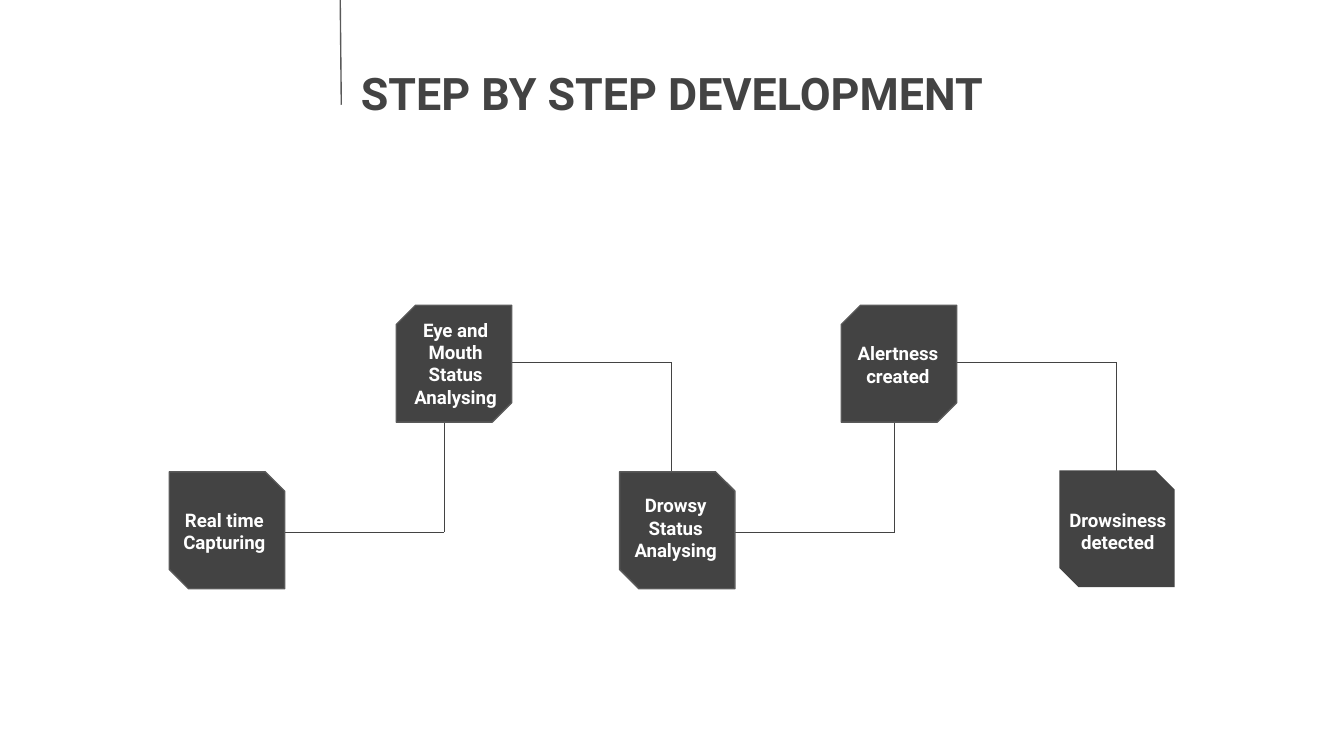
import dataclasses

import pptx
import pptx.dml.color
import pptx.enum.shapes
import pptx.enum.text
import pptx.oxml.xmlchemy
import pptx.util
from pptx.util import Cm

RGB = pptx.dml.color.RGBColor
ANCHOR = pptx.enum.text.MSO_ANCHOR


@dataclasses.dataclass(frozen=True)
class Theme:
    dark: RGB = RGB(0x43, 0x43, 0x43)
    edge: RGB = RGB(0x59, 0x59, 0x59)
    light: RGB = RGB(0xFF, 0xFF, 0xFF)
    font: str = "Roboto"
    head: int = 24
    body: int = 10
    rule: float = 0.75


@dataclasses.dataclass(frozen=True)
class Step:
    text: str
    left: float
    top: float
    area: tuple  # label left, top, width, height in cm
    high: bool = False
    last: bool = False
    anchor: ANCHOR = ANCHOR.TOP


THEME = Theme()
WIDE, TALL = 2.18, 2.21  # box size
INSET, RUN, DROP = 1.03, 4.17, 2.54  # elbow start, across, up or down
SNIP = 0.167

STEPS = [
    Step("Real time Capturing", 3.2, 8.92, (3.15, 9.37, 2.18, 1.09)),
    Step("Eye and Mouth Status Analysing", 7.49, 5.77,
         (7.52, 5.77, 2.18, 1.85), high=True),
    Step("Drowsy Status Analysing", 11.71, 8.92, (11.68, 9.09, 2.18, 1.27)),
    Step("Alertness created", 15.9, 5.77, (15.88, 6.35, 2.18, 1.09),
         high=True, anchor=ANCHOR.MIDDLE),
    Step("Drowsiness detected", 20.02, 8.89, (19.84, 9.37, 2.57, 1.09),
         last=True),
]


def style(frame, text: str, size: int, color: RGB, anchor: ANCHOR) -> None:
    frame.text = text
    frame.word_wrap = True
    frame.auto_size = pptx.enum.text.MSO_AUTO_SIZE.NONE
    frame.vertical_anchor = anchor
    frame.margin_left = frame.margin_right = Cm(0.25)
    frame.margin_top = frame.margin_bottom = Cm(0.25)
    line = frame.paragraphs[0]
    line.alignment = pptx.enum.text.PP_ALIGN.CENTER
    font = line.runs[0].font
    font.name, font.size, font.bold = THEME.font, pptx.util.Pt(size), True
    font.color.rgb = color


def add_line(slide, start: tuple, end: tuple, color: RGB) -> None:
    line = slide.shapes.add_connector(
        pptx.enum.shapes.MSO_CONNECTOR.STRAIGHT,
        *(Cm(value) for value in start + end))
    line.line.color.rgb = color
    line.line.width = pptx.util.Pt(THEME.rule)
    props = line._element.spPr
    props.append(pptx.oxml.xmlchemy.OxmlElement("a:effectLst"))


def add_elbow(slide, step: Step) -> None:
    x = step.left + INSET
    y = step.top + (1.08 if step.high else 1.14)
    turn = (x + RUN, y)
    add_line(slide, (x, y), turn, THEME.dark)
    end = (x + RUN, y + (DROP if step.high else -DROP))
    add_line(slide, turn, end, THEME.dark)


def add_box(slide, step: Step) -> None:
    box = slide.shapes.add_shape(
        pptx.enum.shapes.MSO_SHAPE.SNIP_2_DIAG_RECTANGLE,
        Cm(step.left), Cm(step.top), Cm(WIDE), Cm(TALL))
    box.shadow.inherit = False
    # High boxes lose the opposite pair of corners
    box.adjustments[0] = SNIP if step.high else 0
    box.adjustments[1] = 0 if step.high else SNIP
    box.fill.solid()
    box.fill.fore_color.rgb = THEME.dark
    if step.last:
        box.line.fill.background()
    else:
        box.line.color.rgb = THEME.edge
        box.line.width = pptx.util.Pt(THEME.rule)


def add_label(slide, step: Step) -> None:
    label = slide.shapes.add_textbox(*(Cm(value) for value in step.area))
    style(label.text_frame, step.text, THEME.body, THEME.light, step.anchor)


def main() -> None:
    deck = pptx.Presentation()
    deck.slide_width, deck.slide_height = Cm(25.4), Cm(14.29)
    slide = deck.slides.add_slide(deck.slide_layouts[0])

    # Title
    title = slide.shapes.title
    title.left, title.top = Cm(5.46), Cm(0.99)
    title.width, title.height = Cm(14.48), Cm(1.52)
    style(title.text_frame, "STEP BY STEP DEVELOPMENT", THEME.head,
          THEME.dark, ANCHOR.MIDDLE)
    spare = slide.placeholders[1]._element
    spare.getparent().remove(spare)

    # Flow: elbows lie behind the boxes
    for step in STEPS[:-1]:
        add_elbow(slide, step)
    for step in STEPS:
        add_box(slide, step)
        add_label(slide, step)

    # Accent rule beside the title
    add_line(slide, (6.43, 0), (6.45, 1.98), THEME.edge)
    deck.save("out.pptx")


if __name__ == "__main__":
    main()
